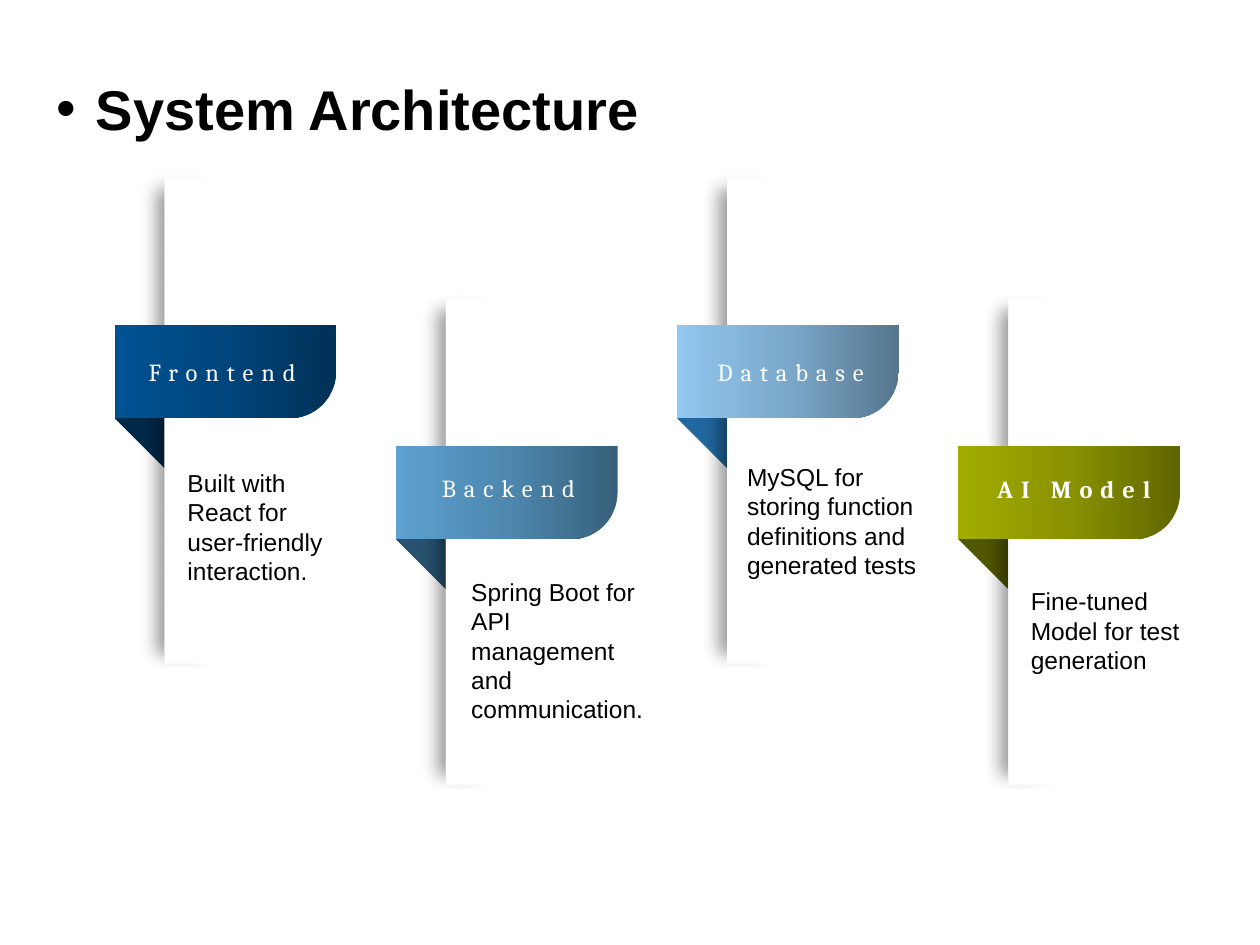
from copy import deepcopy
from dataclasses import dataclass

from pptx import Presentation
from pptx.dml.color import RGBColor
from pptx.enum.shapes import MSO_SHAPE
from pptx.enum.text import MSO_ANCHOR, MSO_AUTO_SIZE, PP_ALIGN
from pptx.oxml import parse_xml
from pptx.oxml.ns import nsdecls, qn
from pptx.util import Cm, Pt

WHITE = RGBColor(0xFF, 0xFF, 0xFF)
BLACK = RGBColor(0x00, 0x00, 0x00)
NAVY = (RGBColor(0x00, 0x31, 0x57), RGBColor(0x00, 0x45, 0x7C), RGBColor(0x00, 0x52, 0x93))
STEEL = (RGBColor(0x37, 0x60, 0x7B), RGBColor(0x4E, 0x88, 0xAF), RGBColor(0x5D, 0xA1, 0xD0))
SKY = (RGBColor(0x56, 0x76, 0x8E), RGBColor(0x7B, 0xA8, 0xCA), RGBColor(0x92, 0xC7, 0xF0))
OLIVE = (RGBColor(0x60, 0x66, 0x00), RGBColor(0x89, 0x92, 0x00), RGBColor(0xA2, 0xAD, 0x00))
NAVY_FOLD = RGBColor(0x00, 0x29, 0x4A)
STEEL_FOLD = RGBColor(0x27, 0x52, 0x6F)
SKY_FOLD = RGBColor(0x21, 0x68, 0xA0)
OLIVE_FOLD = RGBColor(0x51, 0x56, 0x00)

# Card grid, in centimetres
LEFT, TOP = 2.31, 6.55
STEP, DROP = 5.67, 2.44
WIDE, HIGH, FOLD = 4.47, 1.88, 1.01


@dataclass
class Box:
    x: float
    y: float
    w: float
    h: float

    def lengths(self) -> tuple:
        return Cm(self.x), Cm(self.y), Cm(self.w), Cm(self.h)


@dataclass
class Card:
    name: str
    name_at: tuple
    note: str
    note_box: Box
    ramp: tuple
    fold: RGBColor
    bold: bool = False


CARDS = [
    Card("Frontend", (2.64, 7.19), "Built with React for user-friendly interaction.",
         Box(3.78, 9.42, 3.05, 2.39), NAVY, NAVY_FOLD),
    Card("Backend", (8.41, 9.53), "Spring Boot for API management and communication.",
         Box(9.5, 11.61, 3.58, 3.0), STEEL, STEEL_FOLD),
    Card("Database", (14.1, 7.19),
         "MySQL for storing function definitions and generated tests",
         Box(15.06, 9.3, 3.63, 2.39), SKY, SKY_FOLD),
    Card("AI Model", (19.81, 9.55), "Fine-tuned Model for test generation",
         Box(20.78, 11.81, 3.58, 1.8), OLIVE, OLIVE_FOLD, True),
]


def add_form(slide, kind: MSO_SHAPE, box: Box, color: RGBColor):
    form = slide.shapes.add_shape(kind, *box.lengths())
    form.shadow.inherit = False
    form.line.fill.background()
    form.fill.solid()
    form.fill.fore_color.rgb = color
    return form


def cast_shadow(form) -> None:
    spot = form.element.spPr.find(qn("a:effectLst"))
    spot.append(parse_xml(
        f'<a:outerShdw {nsdecls("a")} blurRad="{Pt(10)}" dist="{Pt(5)}" dir="10800000" '
        'algn="r" rotWithShape="0"><a:srgbClr val="000000"><a:alpha val="40000"/>'
        '</a:srgbClr></a:outerShdw>'))


def add_ramp(form, ramp: tuple) -> None:
    form.fill.gradient()
    form.fill.gradient_angle = 180
    stops = form.element.spPr.find(".//" + qn("a:gsLst"))
    stops.insert(1, deepcopy(stops[0]))
    for stop, place, color in zip(form.fill.gradient_stops, (0, 0.5, 1), ramp):
        stop.position = place
        stop.color.rgb = color


def add_run(para, text: str, face: str, size: float, color: RGBColor, bold: bool = False):
    run = para.add_run()
    run.text = text
    run.font.name, run.font.size = face, Pt(size)
    run.font.bold = bold
    run.font.color.rgb = color
    return run


def add_label(slide, box: Box):
    frame = slide.shapes.add_textbox(*box.lengths()).text_frame
    frame.word_wrap = True
    frame.auto_size = MSO_AUTO_SIZE.SHAPE_TO_FIT_TEXT
    frame.vertical_anchor = MSO_ANCHOR.MIDDLE
    frame.margin_left = frame.margin_right = frame.margin_top = frame.margin_bottom = 0
    return frame.paragraphs[0]


def draw_title(slide, text: str) -> None:
    title = slide.shapes.title
    title.left, title.top, title.width, title.height = Box(0.89, 1.04, 23.65, 1.14).lengths()
    frame = title.text_frame
    frame.auto_size = MSO_AUTO_SIZE.NONE
    frame.vertical_anchor = MSO_ANCHOR.TOP
    para = frame.paragraphs[0]
    props = para._p.get_or_add_pPr()
    props.set("marL", str(Cm(0.79)))
    props.set("indent", str(Cm(-0.79)))
    props.append(parse_xml(f'<a:buFont {nsdecls("a")} typeface="Arial"/>'))
    props.append(parse_xml(f'<a:buChar {nsdecls("a")} char="•"/>'))
    para.alignment = PP_ALIGN.LEFT
    para.line_spacing = 1.25
    add_run(para, text, "Arial", 32, BLACK, True)


def draw_card(slide, card: Card, x: float, y: float) -> None:
    # Folded corner, then the white panel that shades it
    fold = add_form(slide, MSO_SHAPE.RIGHT_TRIANGLE, Box(x, y + HIGH, FOLD, FOLD), card.fold)
    fold.rotation = 180
    edge = add_form(slide, MSO_SHAPE.RECTANGLE, Box(x + FOLD, y - 2.74, 0.86, 9.37), WHITE)
    cast_shadow(edge)
    add_form(slide, MSO_SHAPE.RECTANGLE, Box(x + FOLD, y - 2.97, 1.3, 9.8), WHITE)

    # Banner with its lower right corner rounded
    flag = add_form(slide, MSO_SHAPE.ROUND_1_RECTANGLE, Box(x, y, WIDE, HIGH), WHITE)
    flag.adjustments[0] = 0.5
    flag.element.spPr.find(qn("a:xfrm")).set("flipV", "1")
    add_ramp(flag, card.ramp)

    # Name and note
    para = add_label(slide, Box(*card.name_at, 3.68, 0.61))
    para.alignment = PP_ALIGN.CENTER
    run = add_run(para, card.name, "Cambria", 14, WHITE, card.bold)
    run._r.get_or_add_rPr().set("spc", "450")
    add_run(add_label(slide, card.note_box), card.note, "Arial", 14, BLACK)


def main() -> None:
    deck = Presentation()
    deck.slide_width, deck.slide_height = Cm(25.4), Cm(19.05)
    slide = deck.slides.add_slide(deck.slide_layouts[5])
    draw_title(slide, "System Architecture")
    # Every second card hangs lower
    for i, card in enumerate(CARDS):
        draw_card(slide, card, LEFT + i * STEP, TOP + i % 2 * DROP)
    deck.save("out.pptx")


if __name__ == "__main__":
    main()
